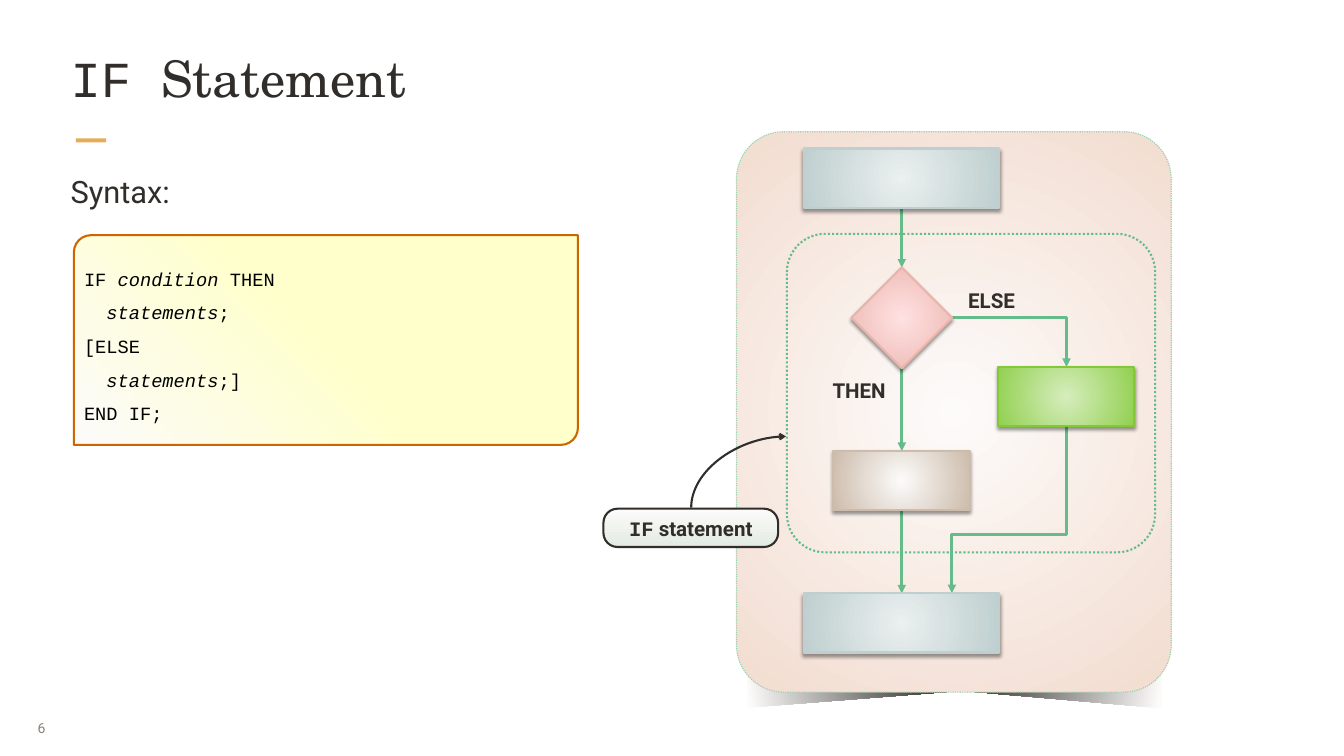
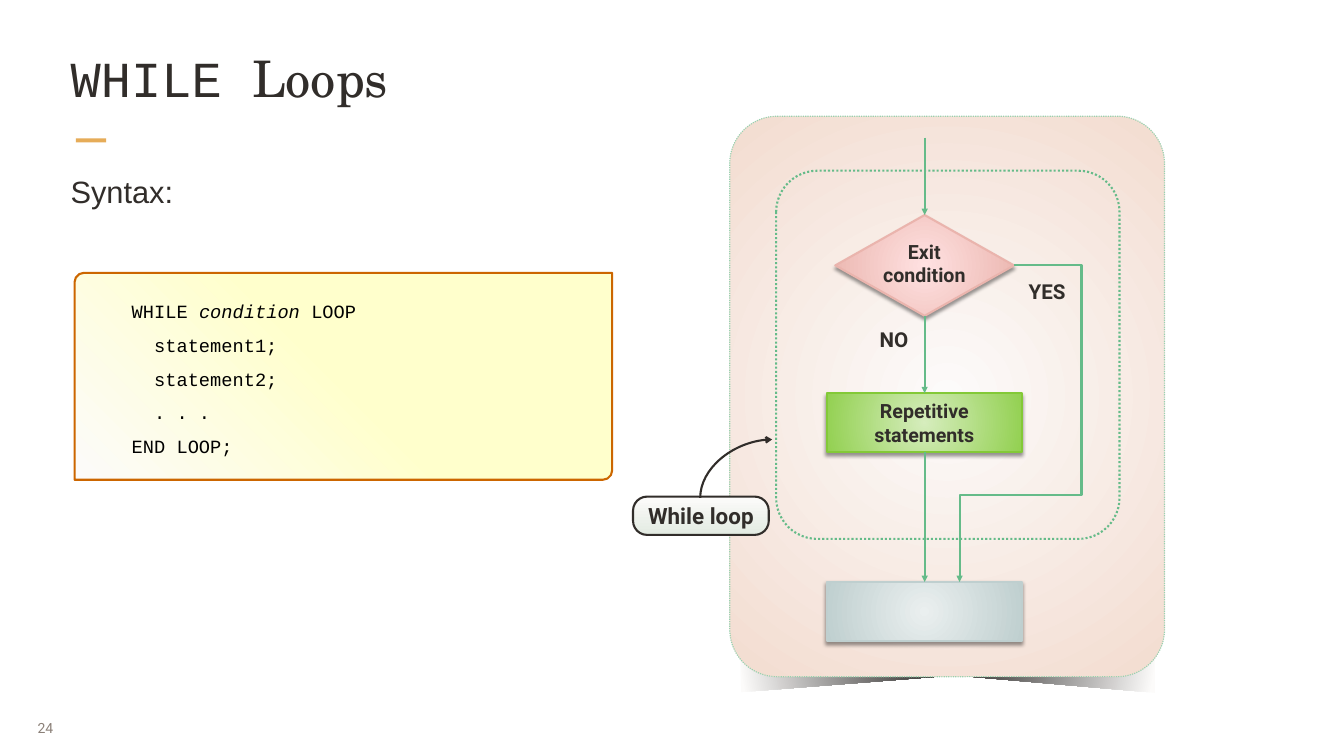
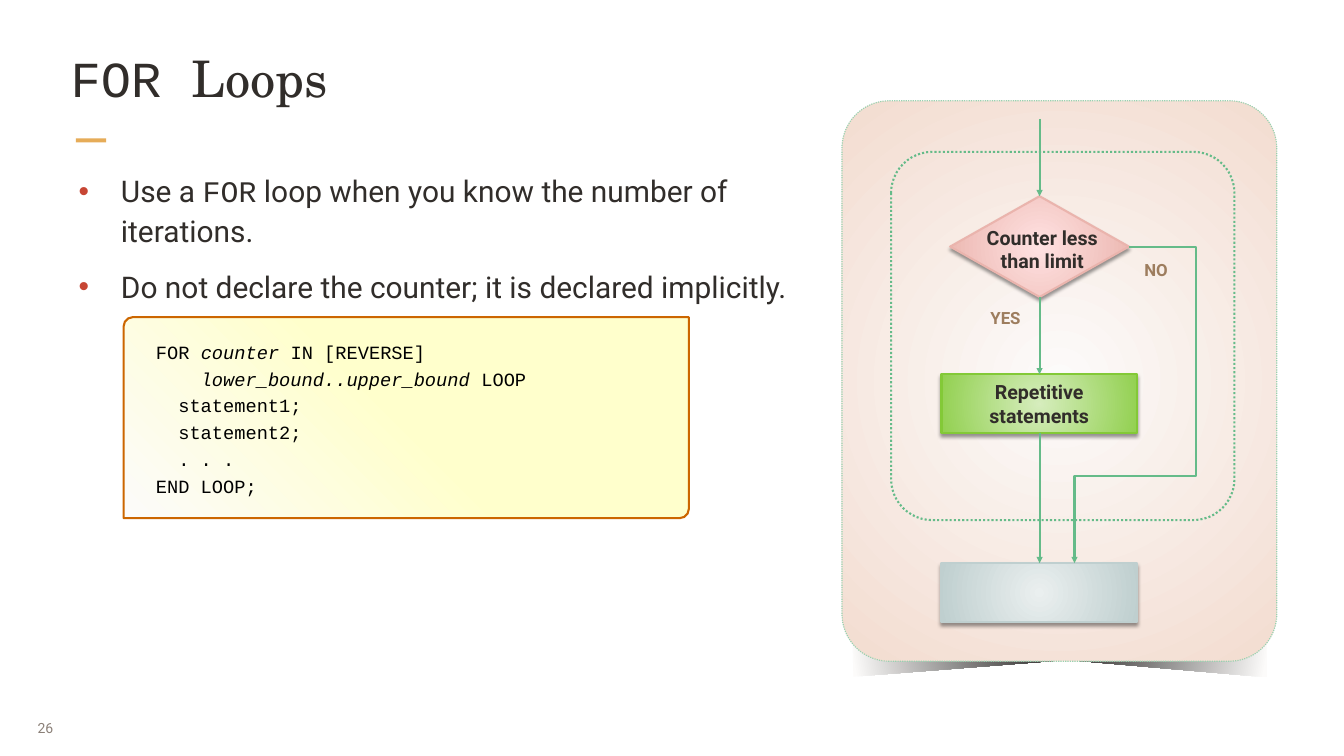
from dataclasses import dataclass
from typing import Optional

from lxml import etree
from pptx import Presentation
from pptx import util as u
from pptx.dml.color import RGBColor
from pptx.enum import dml, shapes, text
from pptx.oxml.ns import nsdecls, qn
from pptx.oxml import parse_xml

SHAPE = shapes.MSO_SHAPE
ALIGN = text.PP_ALIGN
ANCHOR = text.MSO_ANCHOR
CENTRE = (50, 50, 50, 50)


@dataclass(frozen=True)
class Theme:
    ink: str = "312D2A"
    muted: str = "8B8078"
    brown: str = "9D7D5E"
    code: str = "000000"
    accent: str = "E6AC58"
    bullet: str = "C74634"
    flow: str = "65BB89"
    sans: str = "Roboto"
    serif: str = "TeX Gyre Schola"
    mono: str = "Courier New"
    plain: str = "Arial"
    title_size: float = 54
    lead_size: float = 33
    body_size: float = 32
    label_size: float = 22
    node_size: float = 21
    small_size: float = 18
    code_size: float = 20
    number_size: float = 15


T = Theme()


@dataclass(frozen=True)
class Paint:
    """Gradient stops, an angle or a focus rectangle, and an outline."""
    stops: tuple
    line: Optional[str] = None
    width: float = 2.25
    angle: Optional[int] = None
    focus: tuple = CENTRE


STEP = Paint(((0, "EAEFEF"), (100, "BFCFCF")), "BFCFCF")
DECISION = Paint(((0, "FFE1E1"), (100, "EAB4AD")), "EAB4AD")
THEN_STEP = Paint(((0, "FCFBFA"), (99, "CDBCAC")), "CDBCAC")
ACTION = Paint(((0, "D6EDBD"), (100, "92D050")), "83C937")
PANEL = Paint(((0, "FCFBFA"), (100, "F3DCD0")), "98D2B0", 1.25)
PANEL_SHADE = Paint(((0, "181615"), (100, "FCFBFA")), focus=(50, -80, 50, 180))
CALLOUT = Paint(((0, "FCFBFA"), (100, "E3EBE2")), T.ink, angle=90)
CODE_BOX = Paint(((0, "FFFFCC"), (50, "FFFFCC"), (100, "FCFBFA")), "CC6600", angle=135)


# Formatting helpers
def rgb(value):
    return RGBColor.from_string(value)


def apply(obj, **values):
    for name, value in values.items():
        setattr(obj, name, value)


def inches(*values):
    return [u.Inches(v) for v in values]


def write(tf, paragraphs, size, color=T.ink, font=T.sans, bold=False, align=ALIGN.LEFT,
          anchor=ANCHOR.TOP, wrap=True, inset=(0.1, 0.05), spacing=1.0, before=0, bullet=False):
    """Each paragraph is a list of (text, font values) runs."""
    side, top = inches(*inset)
    apply(tf, word_wrap=wrap, auto_size=text.MSO_AUTO_SIZE.NONE, vertical_anchor=anchor,
          margin_left=side, margin_right=side, margin_top=top, margin_bottom=top)
    for i, runs in enumerate(paragraphs):
        p = tf.add_paragraph() if i else tf.paragraphs[0]
        if bullet:
            add_bullet(p)
        apply(p, alignment=align, line_spacing=spacing, space_before=u.Pt(before if i else 0))
        for words, values in runs:
            r = p.add_run()
            r.text = words
            apply(r.font, **{"name": font, "size": u.Pt(size), "bold": bold, **values})
            r.font.color.rgb = rgb(color)


def add_bullet(p):
    pPr = p._p.get_or_add_pPr()
    pPr.set("marL", str(u.Inches(0.75)))
    pPr.set("indent", str(u.Inches(-0.63)))
    color = etree.SubElement(pPr, qn("a:buClr"))
    etree.SubElement(color, qn("a:srgbClr"), val=T.bullet)
    etree.SubElement(pPr, qn("a:buFont"), typeface="Arial")
    etree.SubElement(pPr, qn("a:buChar"), char="•")


def paint(sp, look):
    """Fill and outline a shape with a gradient look."""
    stops = "".join(f'<a:gs pos="{pos * 1000}"><a:srgbClr val="{c}"/></a:gs>'
                    for pos, c in look.stops)
    if look.angle is None:
        sides = " ".join(f'{k}="{v * 1000}"' for k, v in zip("ltrb", look.focus))
        shade = f'<a:path path="circle"><a:fillToRect {sides}/></a:path>'
    else:
        shade = f'<a:lin ang="{look.angle * 60000}" scaled="0"/>'
    sp.fill.background()
    spPr = sp._element.spPr
    spPr.replace(spPr.find(qn("a:noFill")), parse_xml(
        f'<a:gradFill {nsdecls("a")} rotWithShape="1"><a:gsLst>{stops}</a:gsLst>{shade}</a:gradFill>'))
    outline(sp, look.line, look.width)


def outline(sp, color, width=2.25, dash=None):
    if color is None:
        sp.line.fill.background()
        return
    sp.line.color.rgb = rgb(color)
    apply(sp.line, width=u.Pt(width), dash_style=dash)


def drop_shadow(sp):
    sp._element.spPr.find(qn("a:effectLst")).append(parse_xml(
        f'<a:outerShdw {nsdecls("a")} blurRad="{u.Pt(4)}" dist="{u.Pt(3)}" dir="5400000" '
        'algn="t" rotWithShape="0"><a:srgbClr val="000000"><a:alpha val="40000"/>'
        '</a:srgbClr></a:outerShdw>'))


# Kinds of element
def add_shape(s, kind, box, adj=()):
    sp = s.shapes.add_shape(kind, *inches(*box))
    sp.shadow.inherit = False
    for i, value in enumerate(adj):
        sp.adjustments[i] = value
    return sp


def add_text(s, box, paragraphs, size, **values):
    sp = s.shapes.add_textbox(*inches(*box))
    write(sp.text_frame, paragraphs, size, **values)


def add_label(s, box, lines, size=T.label_size, **values):
    add_text(s, box, [[(line, {})] for line in lines], size, bold=True, wrap=False, **values)


def add_node(s, kind, box, look, words=None):
    sp = add_shape(s, kind, box)
    paint(sp, look)
    drop_shadow(sp)
    if words:
        write(sp.text_frame, [[(words, {})]], T.node_size, bold=True,
              align=ALIGN.CENTER, anchor=ANCHOR.MIDDLE)


def add_dotted_frame(s, box):
    sp = add_shape(s, SHAPE.ROUNDED_RECTANGLE, box, [0.12])
    sp.fill.background()
    outline(sp, T.flow, dash=dml.MSO_LINE.ROUND_DOT)


def add_arrow(s, start, end, width=2.25, color=T.flow, kind="line", turn=0, adj=(),
              head="triangle"):
    """Connector from start to end; turn rotates it about its centre."""
    sp = s.shapes.add_connector(shapes.MSO_CONNECTOR.STRAIGHT, *inches(*start, *end))
    outline(sp, color, width)
    spPr = sp._element.spPr
    if turn:
        spPr.find(qn("a:xfrm")).set("rot", str(turn * 60000))
    geom = spPr.find(qn("a:prstGeom"))
    geom.set("prst", kind)
    guides = geom.find(qn("a:avLst"))
    for i, value in enumerate(adj, 1):
        etree.SubElement(guides, qn("a:gd"), name=f"adj{i}", fmla=f"val {round(value * 100000)}")
    etree.SubElement(spPr.find(qn("a:ln")), qn("a:tailEnd"), type=head)
    etree.SubElement(spPr, qn("a:effectLst"))


def add_panel(s, x, y):
    """Rounded panel standing on a curled shadow."""
    points = [(x + dx, y + dy) for dx, dy in
              [(0.15, 7.87), (0.17, 8.57), (3.35, 8.32), (6.33, 8.58), (6.33, 7.87)]]
    outline_path = s.shapes.build_freeform(*inches(*points[0]))
    outline_path.add_line_segments([inches(*point) for point in points[1:]])
    shade = outline_path.convert_to_shape()
    shade.shadow.inherit = False
    paint(shade, PANEL_SHADE)
    panel = add_shape(s, SHAPE.ROUNDED_RECTANGLE, (x, y, 6.47, 8.34), [0.109])
    paint(panel, PANEL)
    panel.line.dash_style = dml.MSO_LINE.ROUND_DOT


def add_callout(s, box, runs, size, start, end):
    """Named pill with a curved pointer."""
    paint(add_shape(s, SHAPE.ROUNDED_RECTANGLE, box, [0.367]), CALLOUT)
    add_text(s, box, [runs], size, bold=True, align=ALIGN.CENTER,
             anchor=ANCHOR.MIDDLE, wrap=False)
    add_arrow(s, start, end, color=T.ink, kind="curvedConnector2", turn=90, head="arrow")


def add_code(s, box, corner, text_box, lines, spacing=1.5):
    """Code listing; words between asterisks are italic."""
    paint(add_shape(s, SHAPE.ROUND_2_DIAG_RECTANGLE, box, [corner, 0]), CODE_BOX)
    paragraphs = [[(part, {"italic": i % 2 == 1})
                   for i, part in enumerate(line.split("*")) if part] for line in lines]
    add_text(s, text_box, paragraphs, T.code_size, color=T.code, font=T.mono,
             anchor=ANCHOR.MIDDLE, inset=(0.15, 0.08), spacing=spacing)


def add_slide(prs, keyword, rest, number):
    """Title, accent bar and slide number shared by all slides."""
    s = prs.slides.add_slide(prs.slide_layouts[5])
    title = s.shapes.title
    left, top, width, height = inches(1.02, 0.67, 17.96, 1.28)
    apply(title, left=left, top=top, width=width, height=height)
    write(title.text_frame, [[(keyword + " ", {"name": T.mono}), (rest, {})]], T.title_size,
          font=T.serif, inset=(0.03, 0.03))
    bar = add_shape(s, SHAPE.RECTANGLE, (1.13, 2.06, 0.45, 0.06))
    bar.fill.solid()
    bar.fill.fore_color.rgb = rgb(T.accent)
    outline(bar, None)
    add_text(s, (0.43, 10.54, 0.65, 0.58), [[(str(number), {})]], T.number_size,
             color=T.muted, anchor=ANCHOR.MIDDLE, inset=(0.13, 0.07), wrap=False)
    return s


def add_body(s, box, paragraphs, size, **values):
    add_text(s, box, paragraphs, size, inset=(0.03, 0.03), spacing=1.1, **values)


def add_loop_flow(s, x, y):
    """Loop diagram; x is the main arrow line and y its top."""
    add_node(s, SHAPE.RECTANGLE, (x - 1.46, y + 6.61, 2.91, 0.88), STEP)
    add_node(s, SHAPE.RECTANGLE, (x - 1.46, y + 3.8, 2.91, 0.88), ACTION, "Repetitive statements")
    add_dotted_frame(s, (x - 2.21, y + 0.49, 5.11, 5.48))
    add_node(s, SHAPE.DIAMOND, (x - 1.33, y + 1.15, 2.66, 1.5), DECISION)
    for top, bottom in [(0, 1.15), (2.65, 3.8), (4.68, 6.61)]:
        add_arrow(s, (x, y + top), (x, y + bottom))
    add_arrow(s, (x + 1.33, y + 1.9), (x + 0.52, y + 6.61),
              kind="bentConnector4", adj=(-1.24, 0.725))


# Slides
def if_slide(prs):
    s = add_slide(prs, "IF", "Statement", 6)
    add_body(s, (1.02, 2.48, 9.06, 0.62), [[("Syntax:", {})]], T.lead_size)
    add_code(s, (1.1, 3.5, 7.5, 3.12), 0.081, (1.1, 3.8, 5.91, 2.53),
             ["IF *condition* THEN", "  *statements*;", "[ELSE", "  *statements*;]", "END IF;"])
    add_panel(s, 10.96, 1.96)

    # Flow: main line, ELSE branch and nodes
    x = 13.42
    for top, bottom in [(3.09, 3.98), (5.48, 6.71), (7.59, 8.83)]:
        add_arrow(s, (x, top), (x, bottom), 3)
    add_arrow(s, (14.17, 4.73), (15.87, 5.46), 3, kind="bentConnector2")
    add_arrow(s, (13.77, 6.73), (16.26, 8.43), 3, kind="bentConnector3", turn=90, adj=[0.648])
    for top in (2.21, 8.83):
        add_node(s, SHAPE.RECTANGLE, (11.96, top, 2.91, 0.88), STEP)
    add_node(s, SHAPE.DIAMOND, (12.67, 3.98, 1.5, 1.5), DECISION)
    add_node(s, SHAPE.RECTANGLE, (12.4, 6.71, 2.03, 0.88), THEN_STEP)
    add_node(s, SHAPE.RECTANGLE, (14.85, 5.46, 2.03, 0.88), ACTION)
    add_dotted_frame(s, (11.71, 3.48, 5.48, 4.74))
    add_label(s, (12.29, 5.58, 1.05, 0.47), ["THEN"])
    add_label(s, (14.31, 4.24, 0.93, 0.47), ["ELSE"])
    add_callout(s, (8.98, 7.57, 2.6, 0.57), [("IF", {"name": T.mono}), (" statement", {})],
                T.label_size, (11.52, 7.73), (10.46, 6.32))


def while_slide(prs):
    s = add_slide(prs, "WHILE", "Loops", 24)
    add_body(s, (1.02, 2.49, 17.96, 0.62), [[("Syntax:", {})]], T.lead_size, font=T.plain)
    add_code(s, (1.11, 4.06, 8, 3.08), 0.045, (1.81, 4.37, 5.49, 2.36),
             ["WHILE *condition* LOOP", "  statement1;", "  statement2;", "  . . .", "END LOOP;"])
    add_panel(s, 10.86, 1.73)
    add_loop_flow(s, 13.76, 2.05)
    add_label(s, (12.99, 3.52, 1.53, 0.81), ["Exit", "condition"], T.node_size, align=ALIGN.CENTER)
    add_label(s, (15.21, 4.11, 0.78, 0.47), ["YES"])
    add_label(s, (12.99, 4.82, 0.67, 0.47), ["NO"])
    add_callout(s, (9.42, 7.39, 2.02, 0.57), [("While loop", {})], 24,
                (11.39, 7.51), (10.52, 6.44))


def for_slide(prs):
    s = add_slide(prs, "FOR", "Loops", 26)
    add_body(s, (1.02, 2.49, 11.41, 2.25),
             [[("Use a ", {}), ("FOR", {"name": T.mono}),
               (" loop when you know the number of iterations.", {})],
              [("Do not declare the counter; it is declared implicitly.", {})]],
             T.body_size, before=18, bullet=True)
    add_code(s, (1.84, 4.72, 8.41, 2.99), 0.045, (2.17, 4.71, 7, 2.98),
             ["FOR *counter* IN [REVERSE]", "    *lower_bound..upper_bound* LOOP",
              "  statement1;", "  statement2;", "  . . .", "END LOOP;"], 1.2)
    add_panel(s, 12.53, 1.5)
    add_loop_flow(s, 15.47, 1.77)
    add_label(s, (14.54, 3.31, 1.94, 0.81), ["Counter less", "than limit"], T.node_size,
              align=ALIGN.CENTER)
    add_label(s, (16.93, 3.82, 0.59, 0.4), ["NO"], T.small_size, color=T.brown)
    add_label(s, (14.64, 4.53, 0.67, 0.4), ["YES"], T.small_size, color=T.brown)


def main():
    prs = Presentation()
    prs.slide_width, prs.slide_height = inches(20, 11.25)
    for build in (if_slide, while_slide, for_slide):
        build(prs)
    prs.save("out.pptx")


if __name__ == "__main__":
    main()
